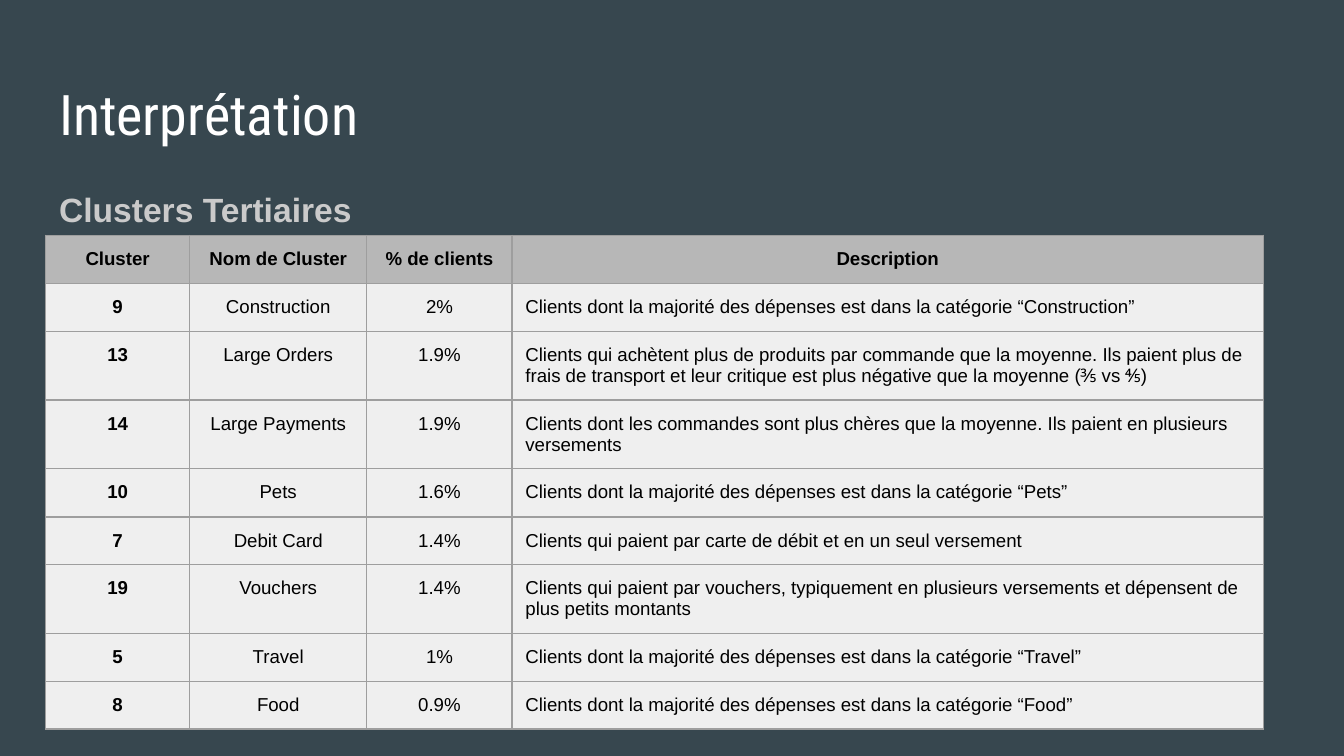
from lxml import etree
from pptx import Presentation
from pptx.dml.color import RGBColor
from pptx.enum.text import MSO_ANCHOR, MSO_AUTO_SIZE, PP_ALIGN
from pptx.oxml import parse_xml
from pptx.oxml.ns import nsdecls, qn
from pptx.util import Inches, Pt

LEFT, CENTER = PP_ALIGN.LEFT, PP_ALIGN.CENTER
TOP = MSO_ANCHOR.TOP
NO_AUTOFIT = MSO_AUTO_SIZE.NONE

COLORS = {
    "background": "37474F",
    "title": "FFFFFF",
    "subtitle": "CACACA",
    "header": "B7B7B7",
    "row": "EFEFEF",
    "border": "9E9E9E",
    "text": "000000",
}
MARGIN = Inches(0.1)


def write_text(text_frame, text, *, size, color, font="Arial", bold=False, align=LEFT):
    text_frame.text = text
    paragraph = text_frame.paragraphs[0]
    paragraph.alignment = align
    run_font = paragraph.runs[0].font
    run_font.name = font
    run_font.size = Pt(size)
    run_font.bold = bold
    run_font.color.rgb = RGBColor.from_string(COLORS[color])
    return paragraph


def add_borders(cell, color, width):
    properties = cell._tc.get_or_add_tcPr()
    for index, side in enumerate(("lnL", "lnR", "lnT", "lnB")):
        properties.insert(index, parse_xml(
            f'<a:{side} {nsdecls("a")} w="{Pt(width)}"><a:solidFill>'
            f'<a:srgbClr val="{color}"/></a:solidFill></a:{side}>'))


# Widescreen 16:9 slide
presentation = Presentation()
presentation.slide_width = Inches(10)
presentation.slide_height = Inches(10 * 9 / 16)
slide = presentation.slides.add_slide(presentation.slide_layouts[1])
slide.background.fill.solid()
slide.background.fill.fore_color.rgb = RGBColor.from_string(COLORS["background"])

# Title and subtitle placeholders
title, subtitle = slide.shapes.title, slide.placeholders[1]
for shape, top, height in ((title, 0.49, 0.63), (subtitle, 1.26, 0.49)):
    shape.left, shape.top = Inches(0.34), Inches(top)
    shape.width, shape.height = Inches(9.32), Inches(height)
    frame = shape.text_frame
    frame.margin_left = frame.margin_right = MARGIN
    frame.margin_top = frame.margin_bottom = MARGIN
    frame.vertical_anchor = TOP
    frame.auto_size = NO_AUTOFIT
    frame.word_wrap = True

write_text(title.text_frame, "Interprétation", size=30, color="title",
           font="Roboto Condensed")
paragraph = write_text(subtitle.text_frame, "Clusters Tertiaires", size=18,
                       color="subtitle", bold=True)
paragraph_properties = paragraph._p.get_or_add_pPr()
paragraph_properties.set("marL", "0")
paragraph_properties.set("indent", "0")
etree.SubElement(paragraph_properties, qn("a:buNone"))
paragraph.line_spacing = 1.15
paragraph.space_before = Pt(0)
paragraph.space_after = Pt(16)

# Cluster table
CATEGORY = "Clients dont la majorité des dépenses est dans la catégorie “{}”"
rows = [
    ("Cluster", "Nom de Cluster", "% de clients", "Description"),
    ("9", "Construction", "2%", CATEGORY.format("Construction")),
    ("13", "Large Orders", "1.9%",
     "Clients qui achètent plus de produits par commande que la moyenne. Ils paient "
     "plus de frais de transport et leur critique est plus négative que la moyenne "
     "(⅗ vs ⅘)"),
    ("14", "Large Payments", "1.9%",
     "Clients dont les commandes sont plus chères que la moyenne. Ils paient en "
     "plusieurs versements"),
    ("10", "Pets", "1.6%", CATEGORY.format("Pets")),
    ("7", "Debit Card", "1.4%",
     "Clients qui paient par carte de débit et en un seul versement"),
    ("19", "Vouchers", "1.4%",
     "Clients qui paient par vouchers, typiquement en plusieurs versements et "
     "dépensent de plus petits montants"),
    ("5", "Travel", "1%", CATEGORY.format("Travel")),
    ("8", "Food", "0.9%", CATEGORY.format("Food")),
]
column_widths = [1.07, 1.32, 1.08, 5.59]
row_heights = [0.36, 0.35, 0.44, 0.44, 0.36, 0.35, 0.44, 0.35, 0.35]

table = slide.shapes.add_table(
    len(rows), len(column_widths), Inches(0.34), Inches(1.75),
    Inches(sum(column_widths)), Inches(sum(row_heights))).table
for column, width in zip(table.columns, column_widths):
    column.width = Inches(width)

for row_index, (values, height) in enumerate(zip(rows, row_heights)):
    table.rows[row_index].height = Inches(height)
    is_header = row_index == 0
    for column_index, value in enumerate(values):
        cell = table.cell(row_index, column_index)
        cell.margin_left = cell.margin_right = MARGIN
        cell.margin_top = cell.margin_bottom = MARGIN
        cell.vertical_anchor = TOP
        cell.fill.solid()
        cell.fill.fore_color.rgb = RGBColor.from_string(
            COLORS["header" if is_header else "row"])
        add_borders(cell, COLORS["border"], 0.75)
        is_description = column_index == 3 and not is_header
        write_text(cell.text_frame, value, size=10, color="text",
                   bold=is_header or column_index == 0,
                   align=LEFT if is_description else CENTER)

presentation.save("out.pptx")
